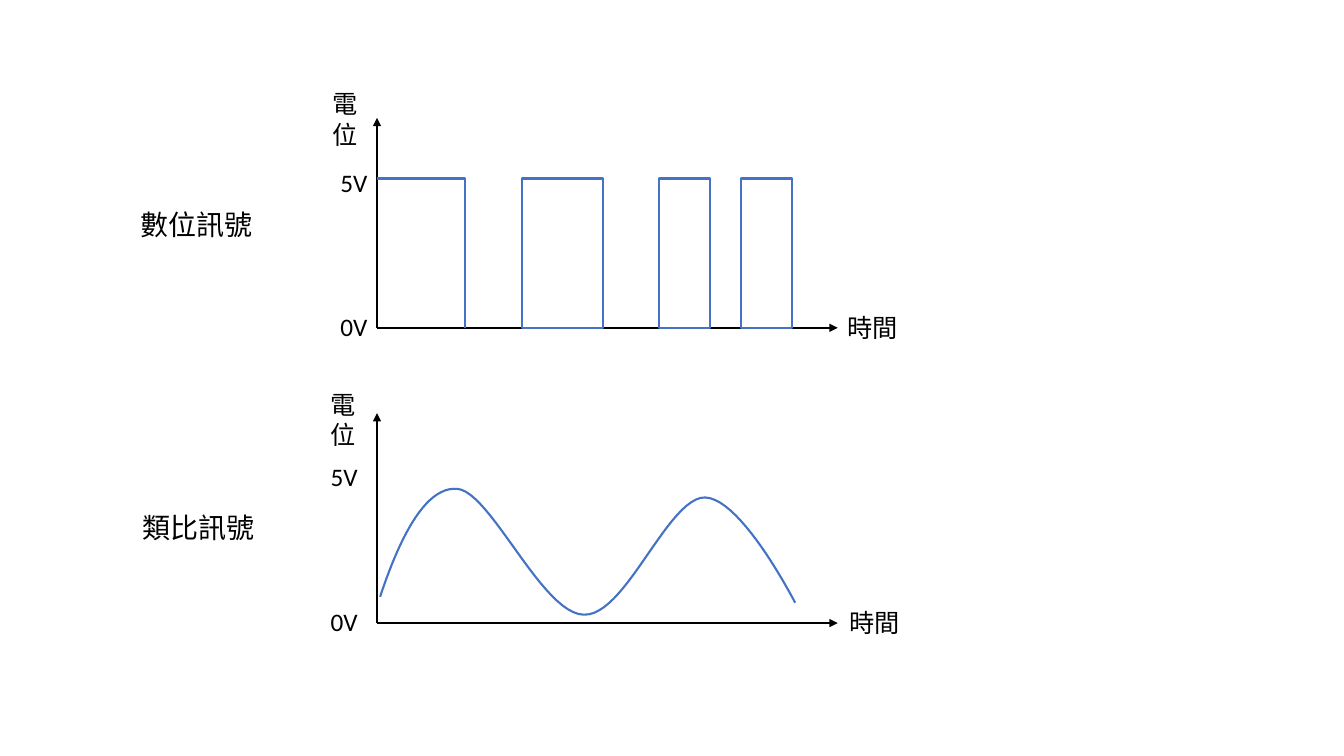
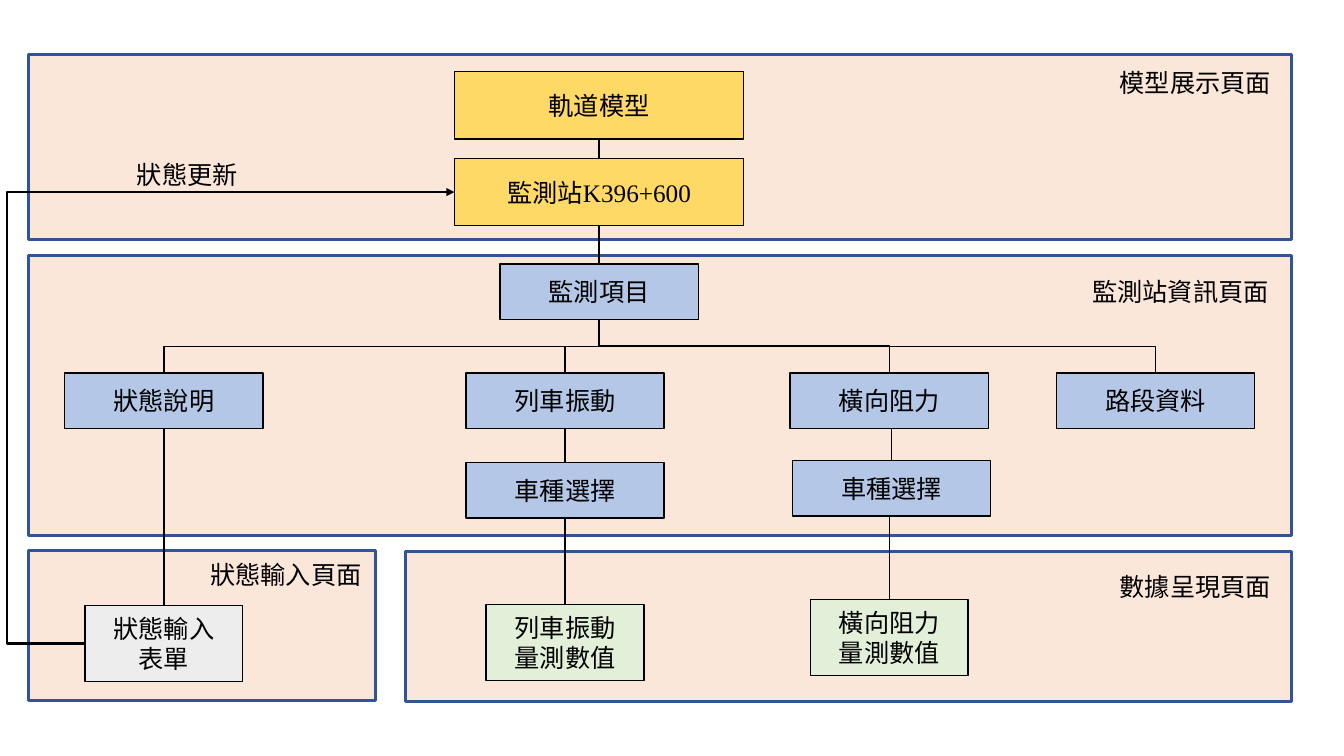
from dataclasses import dataclass

from lxml import etree
from pptx import Presentation
from pptx.dml.color import RGBColor
from pptx.enum.shapes import MSO_CONNECTOR, MSO_SHAPE
from pptx.enum.text import MSO_ANCHOR, PP_ALIGN
from pptx.oxml.ns import qn
from pptx.shapes.autoshape import Shape
from pptx.shapes.connector import Connector
from pptx.slide import Slide
from pptx.util import Cm, Pt

STRAIGHT, ELBOW = MSO_CONNECTOR.STRAIGHT, MSO_CONNECTOR.ELBOW
RECTANGLE = MSO_SHAPE.RECTANGLE
LEFT, CENTER = PP_ALIGN.LEFT, PP_ALIGN.CENTER
TOP, MIDDLE = MSO_ANCHOR.TOP, MSO_ANCHOR.MIDDLE

BLACK = RGBColor(0x00, 0x00, 0x00)
SIGNAL_BLUE = RGBColor(0x44, 0x72, 0xC4)
PANEL_BORDER = RGBColor(0x2F, 0x55, 0x97)
PANEL_PEACH = RGBColor(0xF8, 0xCB, 0xAD)
GOLD = RGBColor(0xFF, 0xD9, 0x66)
LIGHT_BLUE = RGBColor(0xB4, 0xC7, 0xE7)
LIGHT_GREEN = RGBColor(0xE2, 0xF0, 0xD9)
LIGHT_GRAY = RGBColor(0xED, 0xED, 0xED)

CJK_FONT = "Noto Sans CJK SC"
NUMBER_FONT = "Calibri"
SERIF_FONT = "Times New Roman"

Point = tuple[float, float]


# All coordinates below are centimetres
@dataclass(frozen=True)
class Label:
    text: str
    left: float
    top: float
    width: float
    height: float = 1.02
    size: float = 18
    font: str = CJK_FONT


@dataclass(frozen=True)
class Panel:
    left: float
    top: float
    width: float
    height: float


@dataclass(frozen=True)
class NodeStyle:
    width: float
    height: float
    fill: RGBColor
    font: str = CJK_FONT


@dataclass(frozen=True)
class Node:
    text: str
    center: float
    top: float
    style: NodeStyle

    @property
    def left(self) -> float:
        return self.center - self.style.width / 2

    @property
    def bottom(self) -> float:
        return self.top + self.style.height

    @property
    def middle(self) -> float:
        return self.top + self.style.height / 2


# Slide 1: signal plots
AXIS_X, AXIS_END = 9.5, 21.11
AXIS_HEIGHT = 5.29
DIGITAL_BASE, ANALOG_BASE = 8.26, 15.7
PULSE_TOP = 4.5
FIRST_PULSE_END = 11.73
PULSES = [(13.16, 2.03), (16.61, 1.28), (18.67, 1.28)]
WAVE_START = (9.58, 15.04)
WAVE_CURVES = [
    ((10.01, 13.74), (10.67, 12.24), (11.53, 12.32)),
    ((12.37, 12.4), (13.67, 15.47), (14.71, 15.49)),
    ((15.72, 15.54), (16.74, 12.78), (17.65, 12.55)),
    ((18.57, 12.32), (20.04, 15.19), (20.04, 15.19)),
]
CURVE_STEPS = 24
PLOT_LABELS = [
    Label("數位訊號", 3.3, 5.11, 3.61, 1.12, size=20),
    Label("類比訊號", 3.35, 12.73, 3.61, 1.12, size=20),
    Label("電位", 8.13, 2.11, 1.42, 1.8),
    Label("電位", 8.08, 9.68, 1.42, 1.8),
    Label("時間", 21.11, 7.75, 2.03),
    Label("時間", 21.16, 15.19, 2.03),
    Label("5V", 8.33, 4.09, 1.93, font=NUMBER_FONT),
    Label("0V", 8.33, 7.72, 1.93, font=NUMBER_FONT),
    Label("5V", 8.08, 11.51, 1.93, font=NUMBER_FONT),
    Label("0V", 8.08, 15.16, 1.93, font=NUMBER_FONT),
]

# Slide 2: page structure
MODEL_STYLE = NodeStyle(7.29, 1.7, GOLD, SERIF_FONT)
ITEM_STYLE = NodeStyle(5, 1.4, LIGHT_BLUE)
VALUE_STYLE = NodeStyle(3.98, 1.91, LIGHT_GREEN)
FORM_STYLE = NodeStyle(3.98, 1.91, LIGHT_GRAY)

TRUNK_X, STATUS_X, VIBRATION_X, RESISTANCE_X, SECTION_X = 15.1, 4.13, 14.24, 22.41, 29.12
ITEM_ROW = 9.4

MODEL = Node("軌道模型", TRUNK_X, 1.8, MODEL_STYLE)
STATION = Node("監測站K396+600", TRUNK_X, 3.99, MODEL_STYLE)
ITEMS = Node("監測項目", TRUNK_X, 6.65, ITEM_STYLE)
STATUS = Node("狀態說明", STATUS_X, ITEM_ROW, ITEM_STYLE)
VIBRATION = Node("列車振動", VIBRATION_X, ITEM_ROW, ITEM_STYLE)
RESISTANCE = Node("橫向阻力", RESISTANCE_X, ITEM_ROW, ITEM_STYLE)
SECTION = Node("路段資料", SECTION_X, ITEM_ROW, ITEM_STYLE)
VIBRATION_TRAIN = Node("車種選擇", VIBRATION_X, 11.65, ITEM_STYLE)
RESISTANCE_TRAIN = Node("車種選擇", 22.47, 11.6, ITEM_STYLE)
VIBRATION_VALUE = Node("列車振動\n量測數值", VIBRATION_X, 15.24, VALUE_STYLE)
RESISTANCE_VALUE = Node("橫向阻力\n量測數值", RESISTANCE_X, 15.11, VALUE_STYLE)
STATUS_FORM = Node("狀態輸入\n表單", STATUS_X, 15.26, FORM_STYLE)

BRANCHES = [STATUS, VIBRATION, RESISTANCE, SECTION]
CHAINS = [
    (MODEL, STATION, ITEMS),
    (STATUS, STATUS_FORM),
    (VIBRATION, VIBRATION_TRAIN, VIBRATION_VALUE),
    (RESISTANCE, RESISTANCE_TRAIN, RESISTANCE_VALUE),
]
PANELS = [
    Panel(0.71, 13.87, 8.76, 3.78),
    Panel(10.21, 13.89, 22.33, 3.78),
    Panel(0.71, 6.43, 31.83, 7.06),
    Panel(0.71, 1.37, 31.83, 4.67),
]
PAGE_LABELS = [
    Label("模型展示頁面", 27.97, 1.57, 4.4),
    Label("數據呈現頁面", 27.97, 14.27, 4.4),
    Label("監測站資訊頁面", 27.28, 6.83, 5.1),
    Label("狀態輸入頁面", 5.05, 13.97, 4.4),
    Label("狀態更新", 3.2, 3.89, 3.5),
]


def write_text(shape: Shape, text: str, *, size: float = 18, font: str = CJK_FONT,
               align: PP_ALIGN = LEFT, anchor: MSO_ANCHOR = TOP) -> None:
    frame = shape.text_frame
    frame.word_wrap = True
    frame.vertical_anchor = anchor
    for index, line in enumerate(text.split("\n")):
        paragraph = frame.add_paragraph() if index else frame.paragraphs[0]
        paragraph.alignment = align
        run = paragraph.add_run()
        run.text = line
        run.font.size = Pt(size)
        run.font.name = font
        run.font.color.rgb = BLACK
        east_asian = etree.SubElement(run.font._element, qn("a:ea"))
        east_asian.set("typeface", CJK_FONT)


def add_label(slide: Slide, label: Label) -> None:
    box = slide.shapes.add_textbox(
        Cm(label.left), Cm(label.top), Cm(label.width), Cm(label.height))
    write_text(box, label.text, size=label.size, font=label.font)


def outline(shape: Shape, color: RGBColor, weight: float, fill: RGBColor | None = None) -> None:
    shape.shadow.inherit = False
    shape.line.color.rgb = color
    shape.line.width = Pt(weight)
    if fill is None:
        shape.fill.background()
    else:
        shape.fill.solid()
        shape.fill.fore_color.rgb = fill


def add_rectangle(slide: Slide, left: float, top: float, width: float, height: float, *,
                  line: RGBColor, weight: float, fill: RGBColor | None = None) -> Shape:
    shape = slide.shapes.add_shape(RECTANGLE, Cm(left), Cm(top), Cm(width), Cm(height))
    outline(shape, line, weight, fill)
    return shape


def add_line(slide: Slide, start: Point, end: Point, *, kind: MSO_CONNECTOR = STRAIGHT,
             color: RGBColor = BLACK, weight: float = 1, arrow: bool = False) -> Connector:
    connector = slide.shapes.add_connector(
        kind, Cm(start[0]), Cm(start[1]), Cm(end[0]), Cm(end[1]))
    connector.line.color.rgb = color
    connector.line.width = Pt(weight)
    properties = connector._element.spPr
    if arrow:
        etree.SubElement(properties.find(qn("a:ln")), qn("a:tailEnd")).set("type", "triangle")
    etree.SubElement(properties, qn("a:effectLst"))
    return connector


def add_elbow(slide: Slide, start: Point, end: Point, *, rotation: int, bend: float = 0.5,
              color: RGBColor = BLACK, weight: float = 1, arrow: bool = False) -> None:
    """Draw an elbow whose unrotated box shares the centre of its end points."""
    width, height = abs(end[0] - start[0]), abs(end[1] - start[1])
    if rotation in (90, 270):
        width, height = height, width
    left = (start[0] + end[0] - width) / 2
    top = (start[1] + end[1] - height) / 2
    first, last = left, left + width
    if rotation != 90:  # the other turns are mirrored
        first, last = last, first
    connector = add_line(slide, (first, top), (last, top + height), kind=ELBOW,
                         color=color, weight=weight, arrow=arrow)
    properties = connector._element.spPr
    properties.find(qn("a:xfrm")).set("rot", str(rotation * 60000))
    geometry = properties.find(qn("a:prstGeom"))
    adjustments = geometry.find(qn("a:avLst"))
    if adjustments is None:
        adjustments = etree.SubElement(geometry, qn("a:avLst"))
    guide = etree.SubElement(adjustments, qn("a:gd"))
    guide.set("name", "adj1")
    guide.set("fmla", f"val {round(bend * 100000)}")


def curve_points(start: Point, curves: list[tuple[Point, Point, Point]]) -> list[Point]:
    """Sample a chain of cubic curves."""
    points = []
    for first, second, end in curves:
        for step in range(1, CURVE_STEPS + 1):
            t = step / CURVE_STEPS
            weights = ((1 - t) ** 3, 3 * t * (1 - t) ** 2, 3 * t ** 2 * (1 - t), t ** 3)
            corners = (start, first, second, end)
            x, y = (sum(w * corner[axis] for w, corner in zip(weights, corners))
                    for axis in (0, 1))
            points.append((x, y))
        start = end
    return points


def add_node(slide: Slide, node: Node) -> None:
    shape = add_rectangle(slide, node.left, node.top, node.style.width, node.style.height,
                          line=BLACK, weight=1, fill=node.style.fill)
    write_text(shape, node.text, font=node.style.font, align=CENTER, anchor=MIDDLE)


def build_signals(slide: Slide) -> None:
    # Axes
    for base in (DIGITAL_BASE, ANALOG_BASE):
        for end in ((AXIS_X, base - AXIS_HEIGHT), (AXIS_END, base)):
            add_line(slide, (AXIS_X, base), end, weight=1.5, arrow=True)
    # Digital pulses
    add_elbow(slide, (AXIS_X, PULSE_TOP), (FIRST_PULSE_END, DIGITAL_BASE),
              rotation=270, bend=0, color=SIGNAL_BLUE, weight=1.5)
    for left, width in PULSES:
        add_rectangle(slide, left, PULSE_TOP, width, DIGITAL_BASE - PULSE_TOP,
                      line=SIGNAL_BLUE, weight=1.5)
    # Analog wave
    builder = slide.shapes.build_freeform(Cm(WAVE_START[0]), Cm(WAVE_START[1]))
    builder.add_line_segments(
        [(Cm(x), Cm(y)) for x, y in curve_points(WAVE_START, WAVE_CURVES)], close=False)
    outline(builder.convert_to_shape(), SIGNAL_BLUE, 1.5)
    for label in PLOT_LABELS:
        add_label(slide, label)


def build_structure(slide: Slide) -> None:
    # Translucent page panels
    for panel in PANELS:
        shape = add_rectangle(slide, panel.left, panel.top, panel.width, panel.height,
                              line=PANEL_BORDER, weight=2.25, fill=PANEL_PEACH)
        color = shape._element.spPr.find(qn("a:solidFill")).find(qn("a:srgbClr"))
        etree.SubElement(color, qn("a:alpha")).set("val", "45000")
    # Chains of nodes and the links inside them
    for chain in CHAINS:
        for node in chain:
            add_node(slide, node)
        for parent, child in zip(chain, chain[1:]):
            add_line(slide, (child.center, parent.bottom), (child.center, child.top))
    add_node(slide, SECTION)
    # Branches and the update loop
    for branch in BRANCHES:
        add_elbow(slide, (ITEMS.center, ITEMS.bottom), (branch.center, branch.top),
                  rotation=90 if branch.center < ITEMS.center else 270)
    add_elbow(slide, (STATUS_FORM.left, STATUS_FORM.middle), (STATION.left, STATION.middle),
              rotation=180, bend=-0.21, weight=1.5, arrow=True)
    for label in PAGE_LABELS:
        add_label(slide, label)


def main() -> None:
    presentation = Presentation()
    presentation.slide_width, presentation.slide_height = Cm(33.87), Cm(19.05)
    blank = presentation.slide_layouts[6]
    for build in (build_signals, build_structure):
        build(presentation.slides.add_slide(blank))
    presentation.save("out.pptx")


if __name__ == "__main__":
    main()
